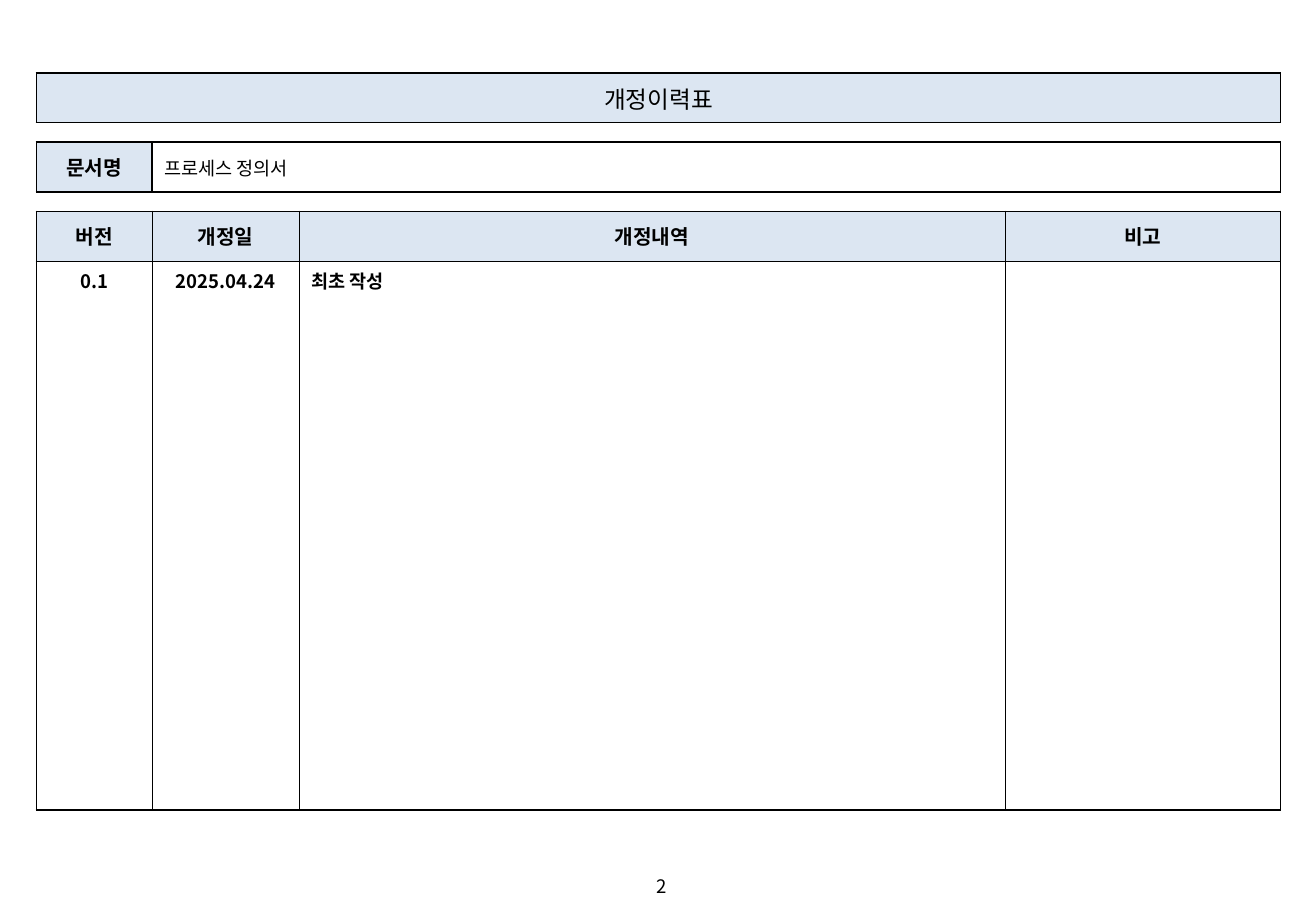
import pptx
import pptx.util
import pptx.dml.color
import pptx.enum.text
import pptx.oxml
import pptx.oxml.ns
from lxml import etree

Inch, Pt = pptx.util.Inches, pptx.util.Pt
Color = pptx.dml.color.RGBColor
Align = pptx.enum.text.PP_ALIGN
Anchor = pptx.enum.text.MSO_ANCHOR
qn = pptx.oxml.ns.qn

# Content: each row is (kind, [(text, format, columns spanned)])
ROWS = [
    ("bar", [("개정이력표", "title", 4)]),
    ("gap", [("", "gap", 4)]),
    ("bar", [("문서명", "head", 1), ("프로세스 정의서", "name", 3)]),
    ("gap", [("", "gap", 4)]),
    ("bar", [("버전", "head", 1), ("개정일", "head", 1),
             ("개정내역", "head", 1), ("비고", "head", 1)]),
    ("log", [("0.1", "mid", 1), ("2025.04.24", "mid", 1),
             ("최초 작성", "note", 1), ("", "note", 1)]),
]
PAGE = "2"

# Layout in inches
SIZE = (10.83, 7.5)
ORIGIN = (0.3, 0.6)
COLS = (0.95, 1.21, 5.81, 2.27)
HIGH = {"bar": 0.41, "gap": 0.16, "log": 4.52}
FOOT = (0.54, 0.28)
FOOT_TOP = 7.15

# Theme
THEME = {
    "font": "Noto Sans CJK KR", "ink": "000000", "tint": "DCE6F2",
    "outer": 1, "inner": 0.5,
    "title": {"size": 14, "bold": False, "align": Align.CENTER,
              "anchor": Anchor.MIDDLE, "fill": True},
    "head": {"size": 12, "bold": True, "align": Align.CENTER,
             "anchor": Anchor.MIDDLE, "fill": True},
    "name": {"size": 11, "bold": False, "align": Align.LEFT,
             "anchor": Anchor.MIDDLE, "fill": False},
    "mid": {"size": 11, "bold": True, "align": Align.CENTER,
            "anchor": Anchor.TOP, "fill": False},
    "note": {"size": 11, "bold": True, "align": Align.LEFT,
             "anchor": Anchor.TOP, "fill": False},
    "gap": {"size": 1, "bold": False, "align": Align.LEFT,
            "anchor": Anchor.TOP, "fill": False},
    "page": {"size": 11, "bold": False, "align": Align.LEFT},
}


def write(frame, text, form):
    para = frame.paragraphs[0]
    para.alignment = form["align"]
    if not text:
        end = etree.SubElement(para._p, qn("a:endParaRPr"))
        end.set("sz", str(form["size"] * 100))
        return
    run = para.add_run()
    run.text = text
    look = {"size": Pt(form["size"]), "bold": form["bold"],
            "name": THEME["font"]}
    for key, value in look.items():
        setattr(run.font, key, value)
    run.font.color.rgb = Color.from_string(THEME["ink"])
    east = etree.SubElement(run._r.get_or_add_rPr(), qn("a:ea"))
    east.set("typeface", THEME["font"])


def edge(cell, side, width):
    line = etree.SubElement(cell._tc.get_or_add_tcPr(), qn("a:ln" + side))
    line.set("w", str(int(Pt(width))))
    if not width:
        etree.SubElement(line, qn("a:noFill"))
        return
    fill = etree.SubElement(line, qn("a:solidFill"))
    etree.SubElement(fill, qn("a:srgbClr")).set("val", THEME["ink"])


def widths(row, col, span):
    """Border widths: thin inside the log grid, none beside a gap."""
    outer, inner = THEME["outer"], THEME["inner"]
    kind, last = ROWS[row][0], len(ROWS) - 1
    grid = row >= last - 1
    if kind == "gap":
        return {"L": 0, "R": 0, "T": outer, "B": outer}
    return {"L": inner if grid and col else outer,
            "R": inner if grid and col + span < len(COLS) else outer,
            "T": inner if row == last else outer,
            "B": inner if row == last - 1 else outer}


def build(slide):
    # Revision table
    high = [HIGH[kind] for kind, _ in ROWS]
    box = [Inch(v) for v in (*ORIGIN, sum(COLS), sum(high))]
    table = slide.shapes.add_table(len(ROWS), len(COLS), *box).table
    table.first_row = table.horz_banding = False
    for col, wide in zip(table.columns, COLS):
        col.width = Inch(wide)
    for row, tall in zip(table.rows, high):
        row.height = Inch(tall)

    for r, (kind, cells) in enumerate(ROWS):
        c = 0
        for text, style, span in cells:
            form = THEME[style]
            cell = table.cell(r, c)
            for k in range(c, c + span):
                part = table.cell(r, k)
                for side, width in widths(r, c, span).items():
                    edge(part, side, width)
                if form["fill"]:
                    part.fill.solid()
                    part.fill.fore_color.rgb = Color.from_string(THEME["tint"])
                else:
                    part.fill.background()
                if kind == "gap":
                    part.margin_top = part.margin_bottom = 0
                if k > c:
                    write(part.text_frame, "", THEME["gap"])
            if span > 1:
                cell.merge(table.cell(r, c + span - 1))
            cell.vertical_anchor = form["anchor"]
            write(cell.text_frame, text, form)
            c += span

    # Page number
    left = (SIZE[0] - FOOT[0]) / 2 + 0.16
    foot = slide.shapes.add_textbox(*[Inch(v) for v in (left, FOOT_TOP, *FOOT)])
    foot.text_frame.word_wrap = True
    write(foot.text_frame, PAGE, THEME["page"])


def main():
    deck = pptx.Presentation()
    deck.slide_width, deck.slide_height = [Inch(v) for v in SIZE]
    build(deck.slides.add_slide(deck.slide_layouts[6]))
    deck.save("out.pptx")


if __name__ == "__main__":
    main()
